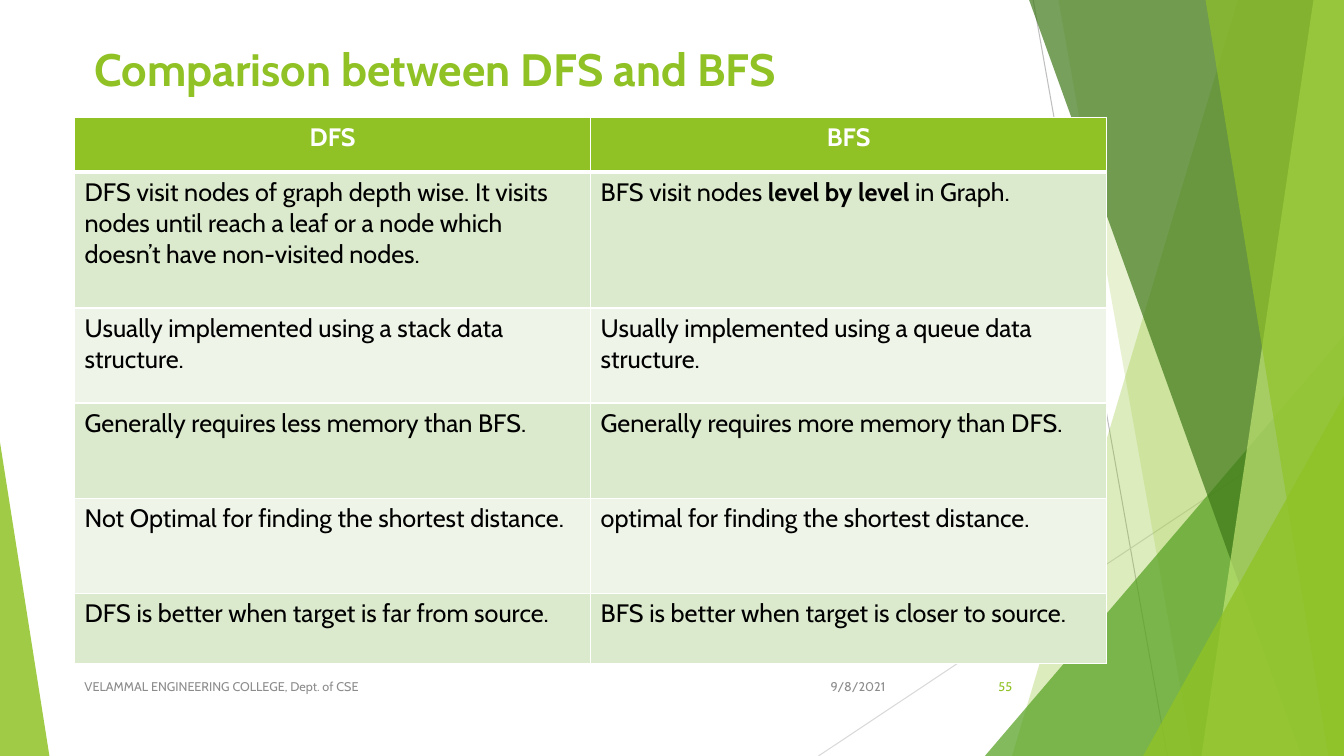
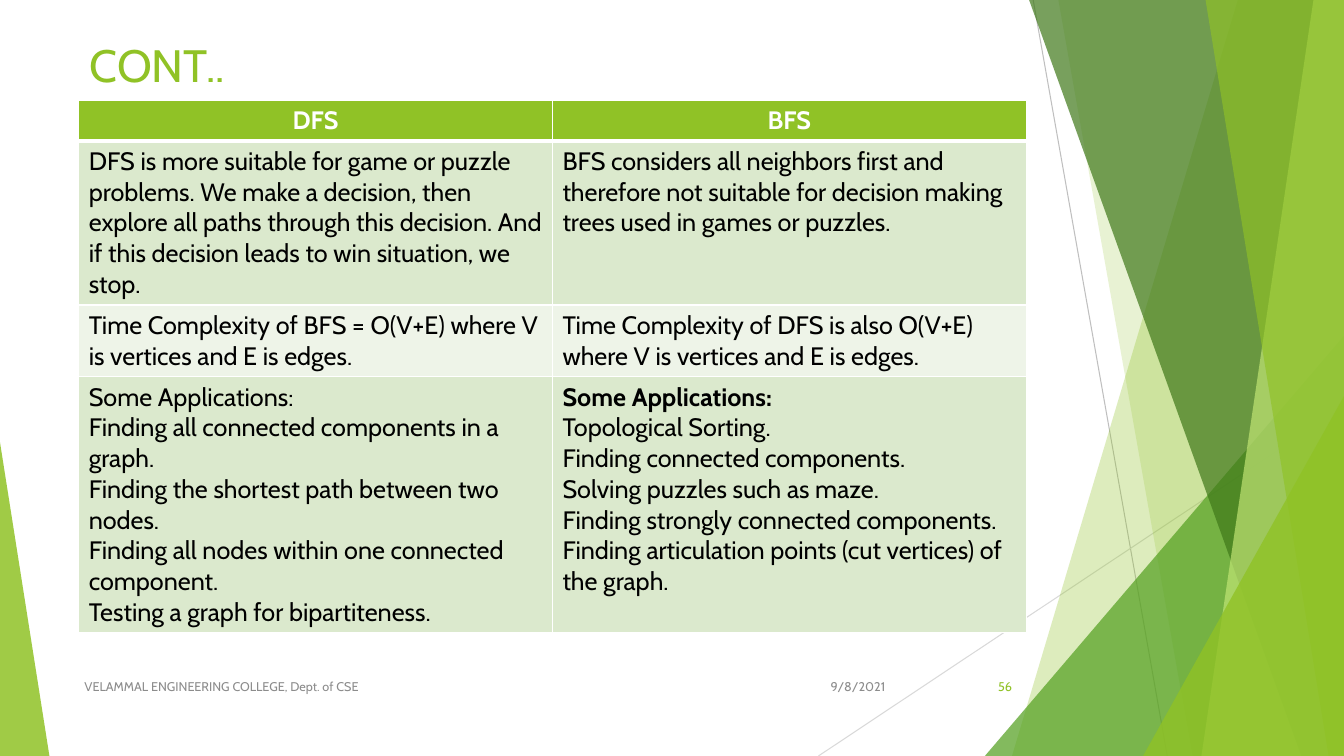
import dataclasses

import lxml.etree
import pptx
import pptx.dml.color
import pptx.enum.shapes
import pptx.enum.text
import pptx.oxml.ns
import pptx.util

Pt = pptx.util.Pt
qn = pptx.oxml.ns.qn
ALIGN = pptx.enum.text.PP_ALIGN
ANCHOR = pptx.enum.text.MSO_ANCHOR
SHAPE = pptx.enum.shapes.MSO_SHAPE


@dataclasses.dataclass(frozen=True)
class Theme:
    font: str = "Cabin"
    width: float = 960
    height: float = 540
    title_size: float = 32.4
    table_size: float = 18
    footer_size: float = 9
    lime: str = "90C226"
    green: str = "54A021"
    forest: str = "3F7819"
    pale_lime: str = "C0E474"
    white: str = "FFFFFF"
    black: str = "000000"
    footer_gray: str = "8C8C8C"
    dark_line: str = "BFBFBF"
    light_line: str = "D9D9D9"
    row_fills: tuple = ("DBE9CD", "EEF4E8")


THEME = Theme()

COMPARISON_ROWS = [
    ("DFS", "BFS"),
    ("DFS visit nodes of graph depth wise. It visits nodes until reach a leaf "
     "or a node which doesn’t have non-visited nodes.",
     "BFS visit nodes **level by level** in Graph."),
    ("Usually implemented using a stack data structure.",
     "Usually implemented using a queue data structure."),
    ("Generally requires less memory than BFS.",
     "Generally requires more memory than DFS."),
    ("Not Optimal for finding the shortest distance.",
     "optimal for finding the shortest distance."),
    ("DFS is better when target is far from source.",
     "BFS is better when target is closer to source."),
]

APPLICATION_ROWS = [
    ("DFS", "BFS"),
    ("DFS is more suitable for game or puzzle problems. We make a decision, "
     "then explore all paths through this decision. And if this decision "
     "leads to win situation, we stop.",
     "BFS considers all neighbors first and therefore not suitable for "
     "decision making trees used in games or puzzles."),
    ("Time Complexity of BFS = O(V+E) where V is vertices and E is edges.",
     "Time Complexity of DFS is also O(V+E) where V is vertices and E is edges."),
    ("Some Applications:\n"
     "Finding all connected components in a graph.\n"
     "Finding the shortest path between two nodes.\n"
     "Finding all nodes within one connected component.\n"
     "Testing a graph for bipartiteness.",
     "**Some Applications:**\n"
     "Topological Sorting.\n"
     "Finding connected components.\n"
     "Solving puzzles such as maze.\n"
     "Finding strongly connected components.\n"
     "Finding articulation points (cut vertices) of the graph."),
]


def rgb(color):
    return pptx.dml.color.RGBColor.from_string(color)


def apply_format(target, values):
    for name, value in values.items():
        setattr(target, name, value)


def format_font(font, size, color, bold=False):
    apply_format(font, {"name": THEME.font, "size": Pt(size), "bold": bold})
    font.color.rgb = rgb(color)


def place(shape, left, top, width, height):
    apply_format(shape, {"left": Pt(left), "top": Pt(top),
                         "width": Pt(width), "height": Pt(height)})


def fill_translucent(shape, color, opacity):
    shape.shadow.inherit = False
    shape.line.fill.background()
    shape.fill.solid()
    shape.fill.fore_color.rgb = rgb(color)
    color_element = shape.element.spPr.find(qn("a:solidFill"))[0]
    alpha = lxml.etree.SubElement(color_element, qn("a:alpha"))
    alpha.set("val", str(opacity * 1000))


def add_right_band(slide, top_x, bottom_x, color, opacity):
    builder = slide.shapes.build_freeform(Pt(top_x), Pt(0))
    builder.add_line_segments([(Pt(THEME.width), Pt(0)),
                               (Pt(THEME.width), Pt(THEME.height)),
                               (Pt(bottom_x), Pt(THEME.height))])
    fill_translucent(builder.convert_to_shape(), color, opacity)


def add_corner_triangle(slide, left, top, width, apex, color, opacity):
    shape = slide.shapes.add_shape(SHAPE.ISOSCELES_TRIANGLE, Pt(left), Pt(top),
                                   Pt(width), Pt(THEME.height - top))
    shape.adjustments[0] = apex
    fill_translucent(shape, color, opacity)


def add_thin_line(slide, start, end, color):
    connector = slide.shapes.add_connector(
        pptx.enum.shapes.MSO_CONNECTOR.STRAIGHT,
        *(Pt(value) for value in (*start, *end)))
    connector.line.width = Pt(0.75)
    connector.line.color.rgb = rgb(color)
    lxml.etree.SubElement(connector.element.spPr, qn("a:effectLst"))


def decorate_layout(layout, slide):
    add_thin_line(slide, (738, 0), (833.8, 540), THEME.dark_line)
    add_thin_line(slide, (960, 290.2), (584.6, 540), THEME.light_line)
    add_right_band(slide, 884.2, 722.9, THEME.lime, 30)
    add_right_band(slide, 756, 851.8, THEME.lime, 20)
    add_corner_triangle(slide, 703.5, 239.8, 256.5, 1, THEME.green, 72)
    add_right_band(slide, 735.1, 929.5, THEME.forest, 70)
    add_right_band(slide, 938.2, 858.2, THEME.pale_lime, 70)
    add_right_band(slide, 861.1, 949, THEME.lime, 65)
    add_corner_triangle(slide, 816.5, 283, 143.5, 1, THEME.lime, 80)
    add_corner_triangle(slide, 0, 316, 35.3, 0, THEME.lime, 85)
    decorations = [shape for shape in slide.shapes if not shape.is_placeholder]
    for number, shape in enumerate(decorations, start=100):
        shape.element.xpath(".//p:cNvPr")[0].set("id", str(number))
        layout.shapes.element.append(shape.element)


def set_title(slide, text, left, top, height, bold):
    title = slide.shapes.title
    place(title, left, top, 676.8, height)
    frame = title.text_frame
    apply_format(frame, {"word_wrap": True, "vertical_anchor": ANCHOR.TOP,
                         "auto_size": pptx.enum.text.MSO_AUTO_SIZE.NONE})
    frame.text = text
    paragraph = frame.paragraphs[0]
    paragraph.alignment = ALIGN.LEFT
    format_font(paragraph.font, THEME.title_size, THEME.lime, bold)


def add_footer_text(slide, text, left, width, alignment, color):
    shape = slide.shapes.add_textbox(Pt(left), Pt(476), Pt(width), Pt(28.8))
    frame = shape.text_frame
    apply_format(frame, {"word_wrap": True, "vertical_anchor": ANCHOR.MIDDLE})
    frame.text = text
    paragraph = frame.paragraphs[0]
    paragraph.alignment = alignment
    format_font(paragraph.font, THEME.footer_size, color)


def add_footer(slide, number):
    add_footer_text(slide, "9/8/2021", 567.4, 72, ALIGN.RIGHT, THEME.footer_gray)
    add_footer_text(slide, "VELAMMAL ENGINEERING COLLEGE, Dept. of CSE",
                    53.3, 496, ALIGN.LEFT, THEME.footer_gray)
    add_footer_text(slide, str(number), 676, 54, ALIGN.RIGHT, THEME.lime)


def set_borders(cell, widths):
    properties = cell._tc.get_or_add_tcPr()
    for side, width in widths.items():
        border = lxml.etree.SubElement(properties, qn(f"a:ln{side}"))
        border.set("w", str(Pt(width)))
        fill = lxml.etree.SubElement(border, qn("a:solidFill"))
        lxml.etree.SubElement(fill, qn("a:srgbClr")).set("val", THEME.white)


def write_cell(cell, text, is_header):
    frame = cell.text_frame
    color = THEME.white if is_header else THEME.black
    for index, line in enumerate(text.split("\n")):
        paragraph = frame.add_paragraph() if index else frame.paragraphs[0]
        paragraph.alignment = ALIGN.CENTER if is_header else ALIGN.LEFT
        for part, content in enumerate(line.split("**")):
            if content:
                run = paragraph.add_run()
                run.text = content
                format_font(run.font, THEME.table_size, color,
                            is_header or part % 2 == 1)


def add_comparison_table(slide, rows, left, top, column_width, row_heights):
    table = slide.shapes.add_table(len(rows), 2, Pt(left), Pt(top),
                                   Pt(2 * column_width),
                                   Pt(sum(row_heights))).table
    for column in table.columns:
        column.width = Pt(column_width)
    for row_index, (texts, height) in enumerate(zip(rows, row_heights)):
        table.rows[row_index].height = Pt(height)
        is_header = row_index == 0
        for column_index, text in enumerate(texts):
            cell = table.cell(row_index, column_index)
            set_borders(cell, {"L": 1, "R": 1, "T": 3 if row_index == 1 else 1,
                               "B": 3 if is_header else 1})
            cell.fill.solid()
            cell.fill.fore_color.rgb = rgb(
                THEME.lime if is_header else THEME.row_fills[(row_index - 1) % 2])
            write_cell(cell, text, is_header)


def main():
    presentation = pptx.Presentation()
    presentation.slide_width = Pt(THEME.width)
    presentation.slide_height = Pt(THEME.height)
    layout = presentation.slide_layouts[5]

    comparison = presentation.slides.add_slide(layout)
    decorate_layout(layout, comparison)
    set_title(comparison, "Comparison between DFS and BFS", 60.5, 26, 40.3, True)
    add_comparison_table(comparison, COMPARISON_ROWS, 53.3, 84, 368.6,
                         (39, 97, 68, 68, 68, 50))
    add_footer(comparison, 55)

    applications = presentation.slides.add_slide(layout)
    set_title(applications, "CONT..", 56.9, 23, 34.6, False)
    add_comparison_table(applications, APPLICATION_ROWS, 56.2, 71.5, 338.4,
                         (29.2, 117.2, 51.2, 182.5))
    add_footer(applications, 56)

    presentation.save("out.pptx")


if __name__ == "__main__":
    main()
